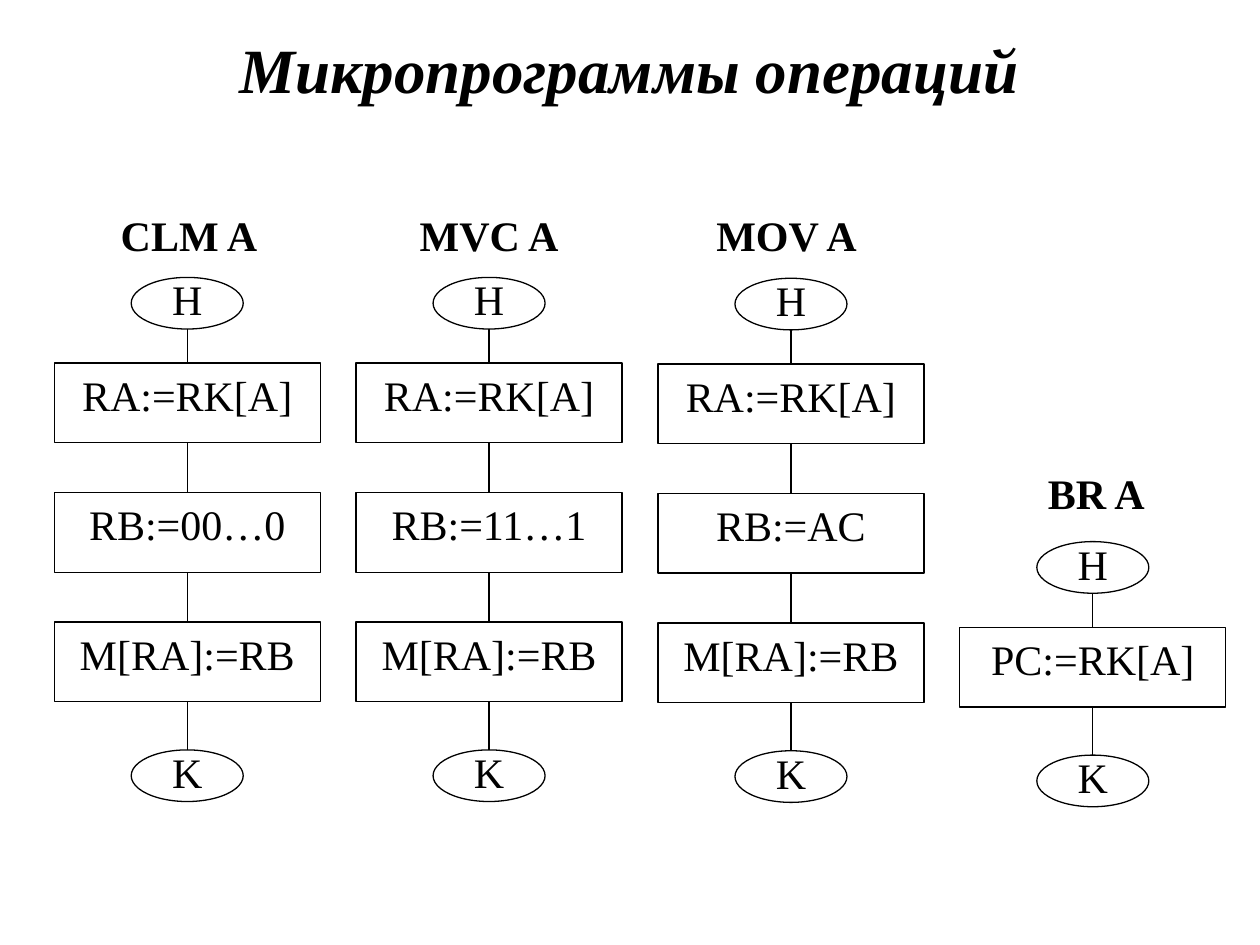
from lxml.etree import SubElement
from pptx import Presentation
from pptx.dml.color import RGBColor
from pptx.enum.shapes import MSO_CONNECTOR as Connector, MSO_SHAPE as Shape
from pptx.enum.text import MSO_ANCHOR as Anchor, PP_ALIGN as Align
from pptx.oxml.ns import qn
from pptx.util import Pt

COLORS = {"ink": "000000"}
FONT = "Times New Roman"
LINE_WIDTH = 0.75
TOP, BOTTOM = 0, 2  # connection sites of a rectangle

FIRST_CENTER, COLUMN_PITCH = 107, 172.5
STEP_WIDTH, STEP_HEIGHT, STEP_PITCH = 152, 45.5, 74
OVAL_WIDTH, OVAL_HEIGHT = 64, 29.5
START_TO_STEP, STEP_TO_END = 49, 73
LABEL_HEIGHT = 40

# heading, heading top, heading shift from the column centre, start top, steps
PROGRAMS = [
    ("CLM A", 116, 1, 158.5, ["RA:=RK[A]", "RB:=00…0", "M[RA]:=RB"]),
    ("MVC A", 116, 0, 158.5, ["RA:=RK[A]", "RB:=11…1", "M[RA]:=RB"]),
    ("MOV A", 116, -2.5, 159, ["RA:=RK[A]", "RB:=AC", "M[RA]:=RB"]),
    ("BR A", 263.5, 2, 309.5, ["PC:=RK[A]"]),
]


def color(name):
    return RGBColor.from_string(COLORS[name])


def write(shape, text, size=24, bold=False, italic=False, anchor=Anchor.TOP):
    text_frame = shape.text_frame
    text_frame.word_wrap = True
    text_frame.vertical_anchor = anchor
    text_frame.text = text
    paragraph = text_frame.paragraphs[0]
    paragraph.alignment = Align.CENTER
    font = paragraph.runs[0].font
    font.name, font.size = FONT, Pt(size)
    font.bold, font.italic = bold, italic
    font.color.rgb = color("ink")


def add_label(slide, center, top, width, text, height=LABEL_HEIGHT, **style):
    label = slide.shapes.add_textbox(
        Pt(center - width / 2), Pt(top), Pt(width), Pt(height))
    write(label, text, **style)


def add_outline(slide, kind, center, top, width, height):
    shape = slide.shapes.add_shape(
        kind, Pt(center - width / 2), Pt(top), Pt(width), Pt(height))
    shape.shadow.inherit = False
    shape.fill.background()
    shape.line.color.rgb = color("ink")
    shape.line.width = Pt(LINE_WIDTH)
    return shape


def add_step(slide, center, top, text):
    step = add_outline(slide, Shape.RECTANGLE, center, top, STEP_WIDTH, STEP_HEIGHT)
    write(step, text)
    return step


def add_terminal(slide, center, top, letter):
    oval = add_outline(slide, Shape.OVAL, center, top, OVAL_WIDTH, OVAL_HEIGHT)
    add_label(slide, center, top - 5.5, 86, letter)
    return oval


def join(slide, upper, lower):
    """Draw a vertical line from the bottom of one shape to the top of the next."""
    center = upper.left + upper.width // 2
    connector = slide.shapes.add_connector(
        Connector.STRAIGHT, center, upper.top + upper.height, center, lower.top)
    if upper.auto_shape_type == Shape.RECTANGLE:
        connector.begin_connect(upper, BOTTOM)
    connector.end_connect(lower, TOP)
    connector.line.color.rgb = color("ink")
    connector.line.width = Pt(LINE_WIDTH)
    SubElement(connector._element.spPr, qn("a:effectLst"))


def add_program(slide, center, heading, heading_top, shift, start_top, steps):
    add_label(slide, center + shift, heading_top, 102, heading, bold=True)
    nodes = [add_terminal(slide, center, start_top, "Н")]
    first_top = start_top + START_TO_STEP
    for row, text in enumerate(steps):
        nodes.append(add_step(slide, center, first_top + row * STEP_PITCH, text))
    end_top = first_top + (len(steps) - 1) * STEP_PITCH + STEP_TO_END
    nodes.append(add_terminal(slide, center, end_top, "K"))
    for upper, lower in zip(nodes, nodes[1:]):
        join(slide, upper, lower)


def main():
    presentation = Presentation()
    presentation.slide_width, presentation.slide_height = Pt(720), Pt(540)
    slide = presentation.slides.add_slide(presentation.slide_layouts[6])
    add_label(slide, 359.5, 18, 680, "Микропрограммы операций", height=42.5,
              size=36, bold=True, italic=True, anchor=Anchor.MIDDLE)
    for column, program in enumerate(PROGRAMS):
        add_program(slide, FIRST_CENTER + column * COLUMN_PITCH, *program)
    presentation.save("out.pptx")


if __name__ == "__main__":
    main()
